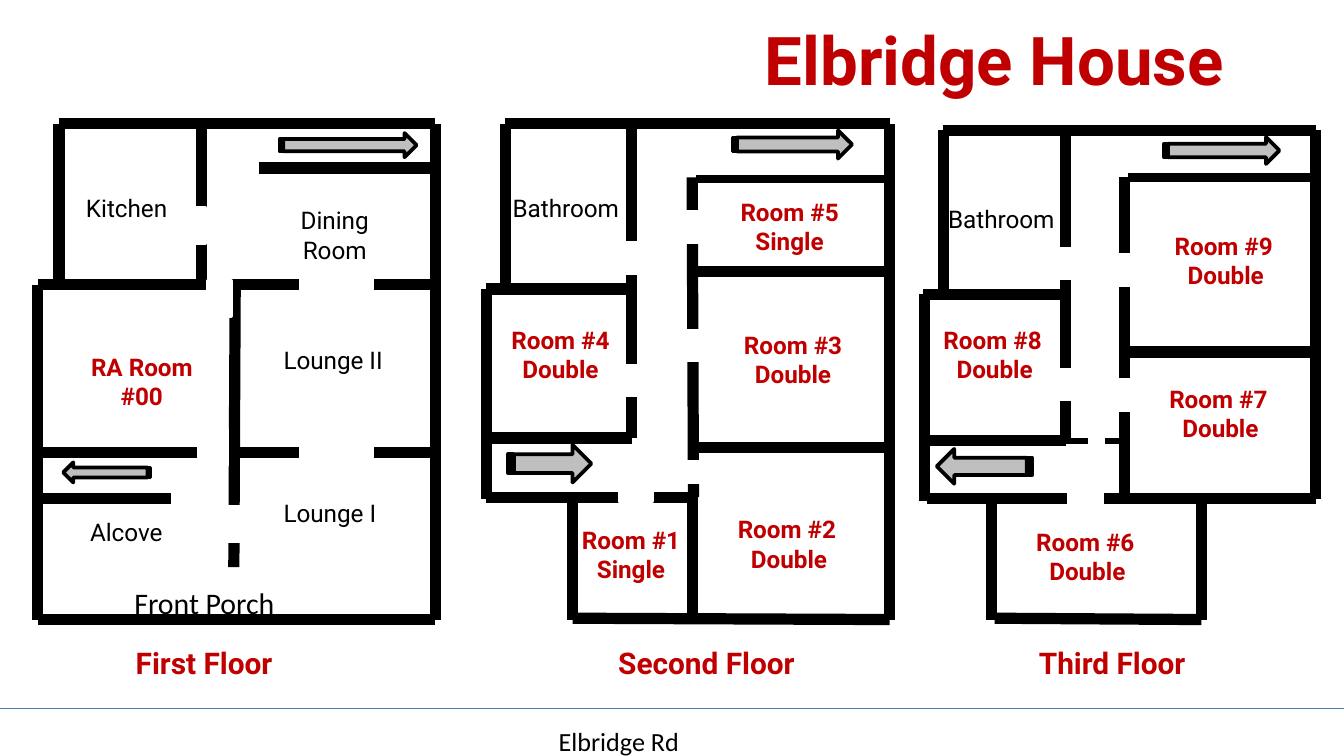
"""Build the Elbridge House floor plan slide."""
import lxml.etree
import pptx
import pptx.dml.color
import pptx.enum.dml
import pptx.enum.shapes
import pptx.enum.text
import pptx.oxml.ns
import pptx.util

Inches = pptx.util.Inches
LEFT = pptx.enum.text.PP_ALIGN.LEFT
CENTER = pptx.enum.text.PP_ALIGN.CENTER

THEME = {
    "wall": "000000", "gap": "FFFFFF", "arrow": "BFBFBF", "road": "4A7DBA",
    "wall_width": 6, "thin_width": 4.5, "dash_width": 3, "outline_width": 2, "road_width": 0.75,
    "text": {
        "title": ("Roboto", 36, "C00000", True, (CENTER,)),
        "floor": ("Roboto", 16, "C00000", True, (LEFT,)),
        "room": ("Roboto", 13, "C00000", True, (CENTER, CENTER)),
        "room_left": ("Roboto", 13, "C00000", True, (LEFT, CENTER)),
        "area": ("Roboto", 13, "000000", False, (LEFT,)),
        "area_center": ("Roboto", 13, "000000", False, (CENTER,)),
        "porch": ("Calibri", 16, "000000", False, (LEFT,)),
        "road": ("Calibri", 14, "000000", False, (CENTER,)),
    },
}

FIRST_FLOOR = {
    "walls": [
        (0.44, 0.92, 0.44, 2.12), (0.28, 2.12, 0.28, 4.61), (0.28, 2.12, 3.24, 2.12),
        (0.44, 0.92, 3.24, 0.92), (1.5, 0.92, 1.5, 2.12), (3.24, 0.92, 3.24, 4.61),
        (0.28, 4.61, 3.24, 4.61), (1.93, 1.25, 3.24, 1.25), (0.28, 3.37, 3.24, 3.37),
        (1.75, 2.12, 1.74, 4.22), (0.28, 3.71, 1.27, 3.71),
    ],
    "thin_walls": [],
    "dashed": [],
    "gaps": [
        (1.36, 1.55, 0.17, 0.26), (1.55, 2.09, 0.17, 0.26), (1.48, 3.2, 0.21, 0.26),
        (2.24, 1.97, 0.53, 0.26), (2.24, 3.17, 0.53, 0.26), (1.66, 3.77, 0.53, 0.26),
    ],
    "stairs": [(2.08, 0.99, 1.02, 0.18, 0), (0.47, 3.44, 0.65, 0.15, 180)],
    "labels": [
        ("Kitchen", "area", 0.61, 1.43, 0.75, 0.21),
        ("Dining Room", "area_center", 2.08, 1.52, 0.82, 0.4),
        ("Lounge II", "area", 2.08, 2.56, 0.93, 0.21),
        ("RA Room\n#00", "room", 0.58, 2.61, 0.95, 0.4),
        ("Lounge I", "area", 2.08, 3.7, 0.82, 0.21),
        ("Alcove", "area", 0.64, 3.84, 0.82, 0.21),
        ("Front Porch", "porch", 0.97, 4.34, 1.79, 0.27),
        ("First Floor", "floor", 0.98, 4.79, 1.91, 0.27),
    ],
}

SECOND_FLOOR = {
    "walls": [
        (5.15, 4.61, 5.15, 3.7), (6.62, 4.61, 6.62, 0.92), (6.62, 0.92, 3.76, 0.92),
        (6.62, 4.61, 4.26, 4.6), (4.26, 4.61, 4.26, 3.73), (3.62, 3.71, 3.62, 2.15),
        (4.7, 2.15, 3.62, 2.15), (3.76, 2.15, 3.76, 0.92), (6.62, 3.33, 5.18, 3.33),
        (6.62, 2.02, 5.18, 2.02), (5.16, 3.7, 5.15, 1.32), (4.7, 3.26, 3.65, 3.26),
        (4.7, 3.26, 4.7, 0.92), (3.62, 3.7, 5.16, 3.7),
    ],
    "thin_walls": [(6.62, 1.33, 5.18, 1.33)],
    "dashed": [],
    "gaps": [
        (4.64, 1.81, 0.21, 0.22), (4.6, 2.72, 0.21, 0.22), (5.05, 1.58, 0.21, 0.22),
        (5.09, 2.46, 0.21, 0.22), (4.61, 3.64, 0.24, 0.09), (5.06, 3.44, 0.25, 0.15),
    ],
    "stairs": [(3.78, 3.31, 0.62, 0.28, 0), (5.45, 0.97, 0.89, 0.21, 0)],
    "labels": [
        ("Bathroom", "area_center", 3.68, 1.43, 1.06, 0.21),
        ("Room #5\nSingle", "room", 5.46, 1.46, 0.83, 0.4),
        ("Room #4\nDouble", "room", 3.76, 2.41, 0.82, 0.4),
        ("Room #3\nDouble", "room", 5.49, 2.45, 0.82, 0.4),
        ("Room #2\nDouble", "room_left", 5.46, 3.82, 0.82, 0.4),
        ("Room #1\nSingle", "room", 4.28, 3.9, 0.83, 0.4),
        ("Second Floor", "floor", 4.57, 4.79, 1.91, 0.27),
    ],
}

THIRD_FLOOR = {
    "walls": [
        (8.94, 4.61, 8.94, 3.71), (9.79, 3.71, 9.79, 0.97), (9.79, 0.97, 7.02, 0.97),
        (8.94, 4.61, 7.4, 4.6), (7.38, 4.61, 7.38, 3.71), (6.88, 3.73, 6.88, 2.19),
        (7.93, 2.19, 6.87, 2.19), (7.02, 2.19, 7.02, 0.97), (9.79, 3.71, 6.9, 3.71),
        (9.79, 2.62, 8.39, 2.62), (8.37, 3.71, 8.37, 1.32), (7.93, 3.28, 6.9, 3.28),
        (7.93, 3.28, 7.93, 0.97),
    ],
    "thin_walls": [(9.79, 1.32, 8.39, 1.32)],
    "dashed": [(7.93, 3.28, 8.39, 3.28)],
    "gaps": [
        (7.86, 1.85, 0.2, 0.22), (7.95, 3.66, 0.25, 0.14), (7.83, 2.75, 0.2, 0.22),
        (8.27, 1.9, 0.2, 0.22), (8.3, 2.83, 0.2, 0.22),
    ],
    "stairs": [(6.97, 3.34, 0.71, 0.26, 180), (8.66, 1.02, 0.86, 0.2, 0)],
    "labels": [
        ("Bathroom", "area_center", 6.92, 1.51, 1.06, 0.21),
        ("Room #9\nDouble", "room_left", 8.71, 1.71, 0.82, 0.4),
        ("Room #8\nDouble", "room_left", 6.99, 2.41, 0.82, 0.4),
        ("Room #7\nDouble", "room_left", 8.67, 2.85, 0.82, 0.4),
        ("Room #6\nDouble", "room_left", 7.68, 3.91, 0.82, 0.4),
        ("Third Floor", "floor", 7.7, 4.79, 1.91, 0.27),
    ],
}

ROAD = (0, 5.27, 10, 5.27)
SLIDE_LABELS = [
    ("Elbridge House", "title", 4.98, 0.13, 4.84, 0.57),
    ("Elbridge Rd", "road", 2.59, 5.39, 4.03, 0.24),
]


def color(name):
    return pptx.dml.color.RGBColor.from_string(name)


def add_line(slide, ends, line_color, width, dashed=False):
    connector = slide.shapes.add_connector(
        pptx.enum.shapes.MSO_CONNECTOR.STRAIGHT, *map(Inches, ends))
    connector.line.color.rgb = color(line_color)
    connector.line.width = pptx.util.Pt(width)
    if dashed:
        connector.line.dash_style = pptx.enum.dml.MSO_LINE.DASH
    properties = connector._element.spPr
    lxml.etree.SubElement(properties, pptx.oxml.ns.qn("a:effectLst"))


def add_block(slide, kind, box, fill, outline, rotation=0):
    shape = slide.shapes.add_shape(kind, *map(Inches, box))
    shape.shadow.inherit = False
    shape.fill.solid()
    shape.fill.fore_color.rgb = color(fill)
    shape.line.color.rgb = color(outline)
    shape.line.width = pptx.util.Pt(THEME["outline_width"])
    shape.rotation = rotation


def add_label(slide, text, style, *box):
    font_name, size, text_color, bold, alignments = THEME["text"][style]
    text_frame = slide.shapes.add_textbox(*map(Inches, box)).text_frame
    text_frame.word_wrap = True
    text_frame.margin_left = text_frame.margin_right = Inches(0.03)
    text_frame.margin_top = text_frame.margin_bottom = Inches(0.01)
    text_frame.text = text
    for paragraph, alignment in zip(text_frame.paragraphs, alignments):
        paragraph.alignment = alignment
        for run in paragraph.runs:
            run.font.name = font_name
            run.font.size = pptx.util.Pt(size)
            run.font.bold = bold
            run.font.color.rgb = color(text_color)


def add_floor(slide, floor):
    for ends in floor["walls"]:
        add_line(slide, ends, THEME["wall"], THEME["wall_width"])
    for ends in floor["thin_walls"]:
        add_line(slide, ends, THEME["wall"], THEME["thin_width"])
    for box in floor["gaps"]:
        add_block(slide, pptx.enum.shapes.MSO_SHAPE.RECTANGLE, box, THEME["gap"], THEME["gap"])
    for ends in floor["dashed"]:
        add_line(slide, ends, THEME["wall"], THEME["dash_width"], dashed=True)
    for *box, rotation in floor["stairs"]:
        add_block(slide, pptx.enum.shapes.MSO_SHAPE.STRIPED_RIGHT_ARROW, box,
                  THEME["arrow"], THEME["wall"], rotation)
    for label in floor["labels"]:
        add_label(slide, *label)


def main():
    presentation = pptx.Presentation()
    presentation.slide_width = Inches(10)
    presentation.slide_height = Inches(10) * 9 // 16
    slide = presentation.slides.add_slide(presentation.slide_layouts[6])
    for floor in (FIRST_FLOOR, SECOND_FLOOR, THIRD_FLOOR):
        add_floor(slide, floor)
    add_line(slide, ROAD, THEME["road"], THEME["road_width"])
    for label in SLIDE_LABELS:
        add_label(slide, *label)
    presentation.save("out.pptx")


if __name__ == "__main__":
    main()
